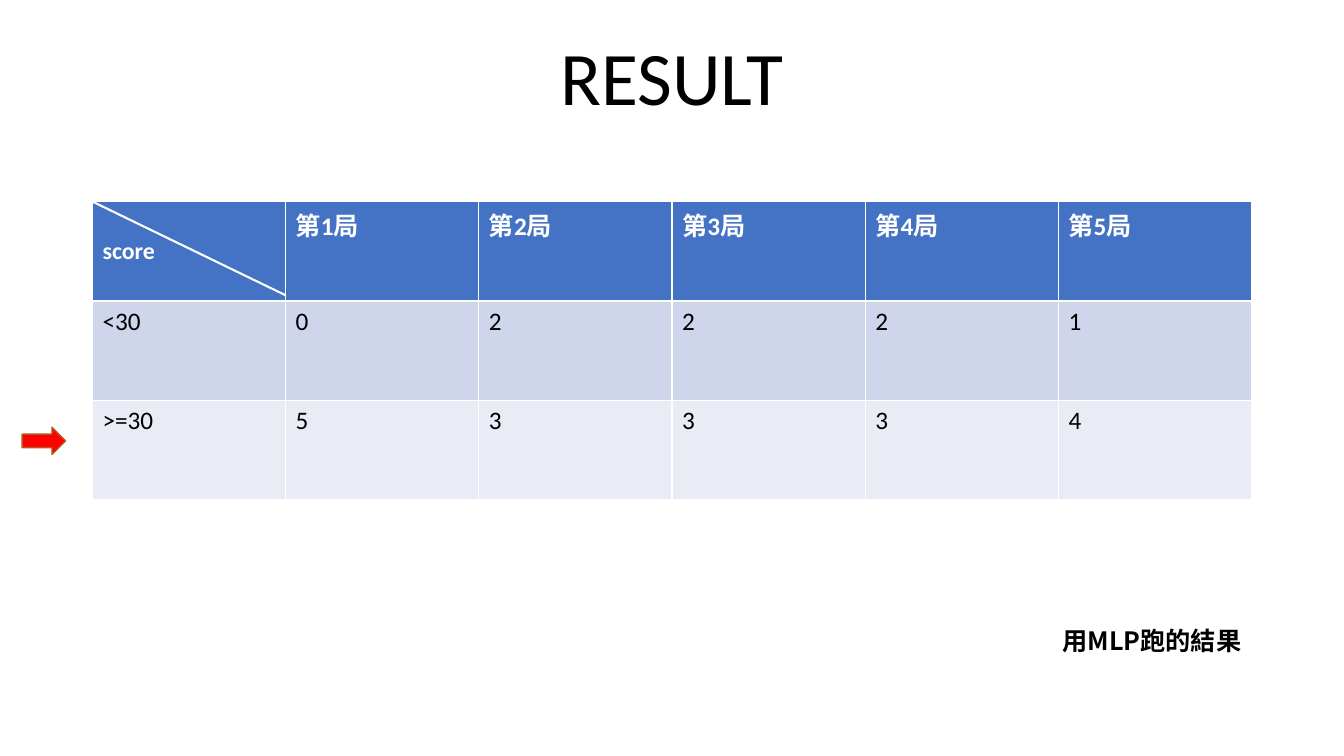
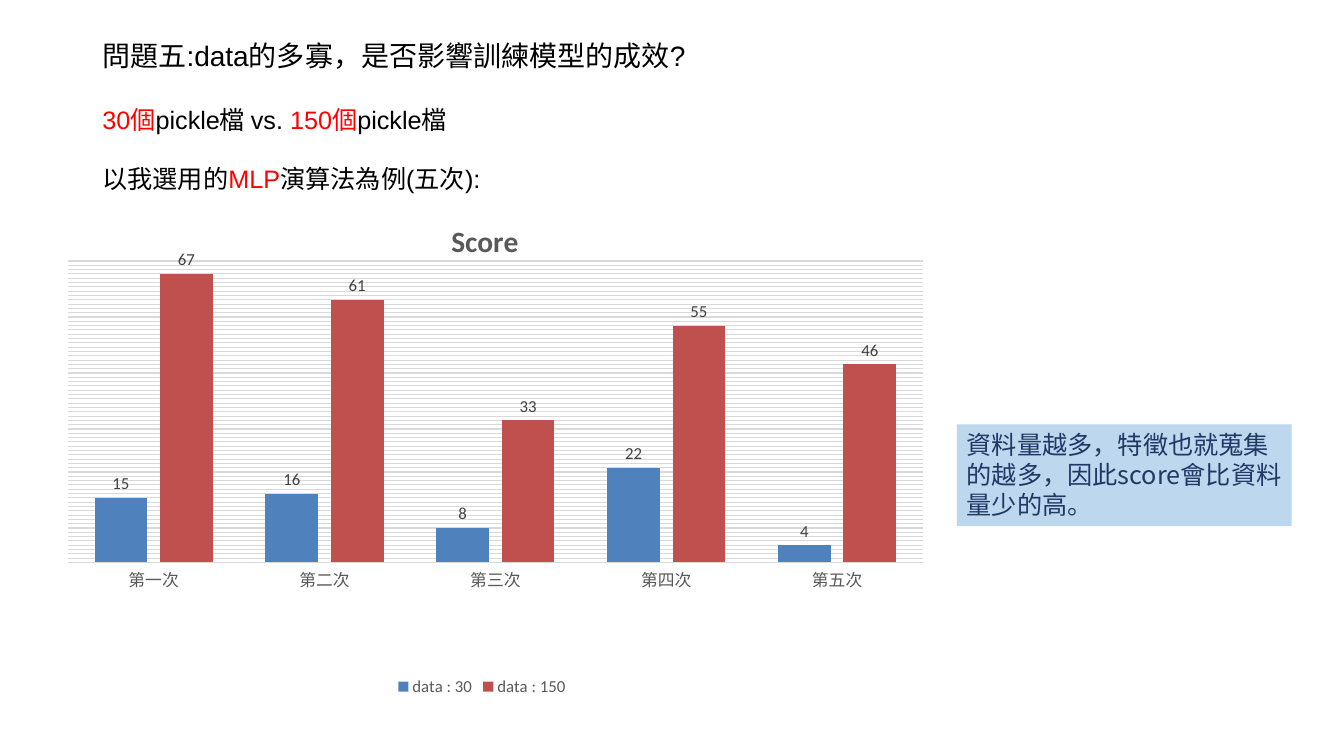
from pptx import Presentation
from pptx.chart.data import CategoryChartData as ChartData
from pptx.dml.color import RGBColor
from pptx.enum.chart import XL_CHART_TYPE as Chart, XL_LABEL_POSITION as Spot
from pptx.enum.chart import XL_LEGEND_POSITION as Side, XL_TICK_MARK as Tick
from pptx.enum.shapes import MSO_CONNECTOR as Link, MSO_SHAPE as Shape
from pptx.enum.text import MSO_ANCHOR as Anchor, PP_ALIGN as Align
from pptx.oxml import parse_xml
from pptx.oxml.ns import nsdecls
from pptx.util import Inches, Pt

BLACK, WHITE, RED, GREY, RULE = "000000", "FFFFFF", "FF0000", "595959", "D9D9D9"
SANS, ARIAL = "Calibri", "Arial"
CJK_TC, CJK_SC = "Noto Sans CJK TC", "Noto Sans CJK SC"
PAGE = (0, 0, Inches(13.33), Inches(7.5))


# Shared helpers
def rgb(code):
    return RGBColor.from_string(code)


def area(box, x, y, w, h):
    """Part of a box, given in percent of its width and height."""
    left, top, wide, high = box
    return (int(left + wide * x / 100), int(top + high * y / 100),
            int(wide * w / 100), int(high * h / 100))


def style(font, size, color, name=SANS, bold=False):
    font.size, font.name, font.bold = Pt(size), name, bold
    font.color.rgb = rgb(color)


def add_run(para, text, size, color, name=SANS, bold=False):
    run = para.add_run()
    run.text = text
    style(run.font, size, color, name, bold)
    if name in (CJK_TC, CJK_SC):
        run.font._element.append(
            parse_xml(f'<a:ea {nsdecls("a")} typeface="{name}"/>'))


def add_text(slide, box):
    frame = slide.shapes.add_textbox(*box).text_frame
    frame.word_wrap = True
    return frame


def add_block(slide, kind, box, fill):
    block = slide.shapes.add_shape(kind, *box)
    block.shadow.inherit = False
    block.fill.solid()
    block.fill.fore_color.rgb = rgb(fill)
    block.line.fill.background()
    return block


# Result slide
def add_title(slide, box, text):
    frame = add_text(slide, box)
    frame.margin_top = 0
    para = frame.paragraphs[0]
    para.alignment, para.line_spacing = Align.CENTER, 0.9
    add_run(para, text, 54, BLACK)


def add_scores(slide, box, rows):
    cols = len(rows[0])
    table = slide.shapes.add_table(len(rows), cols, *box).table
    fills = ("4472C4", "CFD5EA", "E9EBF5")
    for r, (row, fill) in enumerate(zip(rows, fills)):
        head = r == 0
        for c, text in enumerate(row):
            cell = table.cell(r, c)
            cell.fill.solid()
            cell.fill.fore_color.rgb = rgb(fill)
            corner = head and c == 0
            if corner:
                cell.margin_top = Inches(0.35)
            add_run(cell.text_frame.paragraphs[0], text, 17 if corner else 18,
                    WHITE if head else BLACK, bold=head)
    # Diagonal of the corner cell
    x, y, w, h = area(box, 0, 0, 100 / cols, 31.4)
    line = slide.shapes.add_connector(Link.STRAIGHT, x, y, x + w, y + h)
    line.line.color.rgb, line.line.width = rgb(WHITE), Pt(1.5)
    line._element.spPr.append(parse_xml(f'<a:effectLst {nsdecls("a")}/>'))


def add_note(slide, box, text):
    para = add_text(slide, box).paragraphs[0]
    para.alignment = Align.RIGHT
    add_run(para, text, 18, BLACK, CJK_TC, True)


def result_slide(slide, page):
    add_title(slide, area(page, 6.88, 5.33, 86.25, 19.33), "RESULT")
    add_scores(slide, area(page, 6.88, 26.67, 86.25, 39.47), (
        ["score"] + [f"第{n}局" for n in range(1, 6)],
        ("<30", "0", "2", "2", "2", "1"),
        (">=30", "5", "3", "3", "3", "4")))
    add_note(slide, area(page, 64.89, 82, 28.21, 5.33), "用MLP跑的結果")
    arrow = add_block(slide, Shape.RIGHT_ARROW,
                      area(page, 1.65, 56.53, 3.23, 3.6), RED)
    arrow.line.color.rgb, arrow.line.width = rgb("AF5C24"), Pt(1)


# Question slide
def add_intro(slide, box):
    lines = (
        (20, 0, (("問題五:data的多寡，是否影響訓練模型的成效?", BLACK),)),
        (18, 23, (("30個", RED), ("pickle檔 vs. ", BLACK),
                  ("150個", RED), ("pickle檔", BLACK))),
        (18, 21, (("以我選用的", BLACK), ("MLP", RED),
                  ("演算法為例(五次):", BLACK))))
    frame = add_text(slide, box)
    for n, (size, gap, runs) in enumerate(lines):
        para = frame.add_paragraph() if n else frame.paragraphs[0]
        if gap:
            para.space_before = Pt(gap)
        for text, color in runs:
            add_run(para, text, size, color, ARIAL)


def fade(bar, stops):
    """Fill a series from top to bottom with evenly spaced colours."""
    step = 100000 // (len(stops) - 1)
    marks = "".join(f'<a:gs pos="{n * step}"><a:srgbClr val="{code}"/></a:gs>'
                    for n, code in enumerate(stops))
    props = bar.format._element if hasattr(bar.format, "_element") else None
    props = bar._element.get_or_add_spPr() if props is None else props
    props.insert(0, parse_xml(
        f'<a:gradFill {nsdecls("a")}><a:gsLst>{marks}</a:gsLst>'
        '<a:lin ang="5400000" scaled="0"/></a:gradFill>'))


def layout(x, y, w=None, h=None):
    """Manual chart layout in shares of the chart."""
    inner = '<c:layoutTarget val="inner"/>' if w else ""
    size = f'<c:w val="{w}"/><c:h val="{h}"/>' if w else ""
    return parse_xml(
        f'<c:layout {nsdecls("c")}><c:manualLayout>{inner}'
        '<c:xMode val="edge"/><c:yMode val="edge"/>'
        f'<c:x val="{x}"/><c:y val="{y}"/>{size}</c:manualLayout></c:layout>')


def add_bars(slide, box):
    data = ChartData()
    data.categories = [f"第{n}次" for n in "一二三四五"]
    data.add_series("data : 30", (15, 16, 8, 22, 4))
    data.add_series("data : 150", (67, 61, 33, 55, 46))
    chart = slide.shapes.add_chart(Chart.COLUMN_CLUSTERED, *box, data).chart
    style(chart.font, 10, BLACK)

    # Title and legend
    chart.has_title = True
    add_run(chart.chart_title.text_frame.paragraphs[0], "Score", 21, GREY,
            bold=True)
    title = chart.chart_title._element
    for old in title.findall(layout(0, 0).tag):
        title.remove(old)
    title.tx.addnext(layout(0.46, 0.05))
    chart.has_legend = True
    chart.legend.position = Side.BOTTOM
    chart.legend.include_in_layout = False
    style(chart.legend.font, 12, GREY)

    # Axes
    cats, vals = chart.category_axis, chart.value_axis
    cats.major_tick_mark = Tick.NONE
    style(cats.tick_labels.font, 12, GREY)
    cats.format.line.color.rgb, cats.format.line.width = rgb(RULE), Pt(1)
    vals.visible = False
    vals.minimum_scale, vals.maximum_scale, vals.major_unit = 0, 70, 1
    grid = vals.major_gridlines.format.line
    grid.color.rgb, grid.width = rgb(RULE), Pt(0.75)

    # Bars
    plot = chart.plots[0]
    plot.vary_by_categories = False
    plot.gap_width, plot.overlap = 100, -24
    fades = (("6183CB", "3E70CA", "3062BB"), ("F18C57", "F67B28", "E56C19"))
    for bar, stops in zip(plot.series, fades):
        fade(bar, stops)
        labels = bar.data_labels
        labels.show_value, labels.position = True, Spot.OUTSIDE_END
        style(labels.font, 12, "404040")
    space = chart._chartSpace.chart.plotArea
    for old in space.findall(layout(0, 0).tag):
        space.remove(old)
    space.insert(0, layout(0.04, 0.14, 0.95, 0.59))


def add_claim(slide, box, text):
    block = add_block(slide, Shape.RECTANGLE, box, "BDD7EE")
    frame = block.text_frame
    frame.word_wrap, frame.vertical_anchor = True, Anchor.TOP
    para = frame.paragraphs[0]
    para.alignment = Align.LEFT
    add_run(para, text, 18, "203864", CJK_SC)


def question_slide(slide, page):
    add_bars(slide, area(page, 2.4, 25.07, 66.92, 67.6))
    add_intro(slide, area(page, 6.88, 4.4, 68.19, 22.4))
    add_claim(slide, area(page, 71.19, 56.13, 24.91, 13.47),
              "資料量越多，特徵也就蒐集的越多，因此score會比資料量少的高。")


def main():
    deck = Presentation()
    deck.slide_width, deck.slide_height = PAGE[2:]
    for build in (result_slide, question_slide):
        build(deck.slides.add_slide(deck.slide_layouts[6]), PAGE)
    deck.save("out.pptx")


if __name__ == "__main__":
    main()
